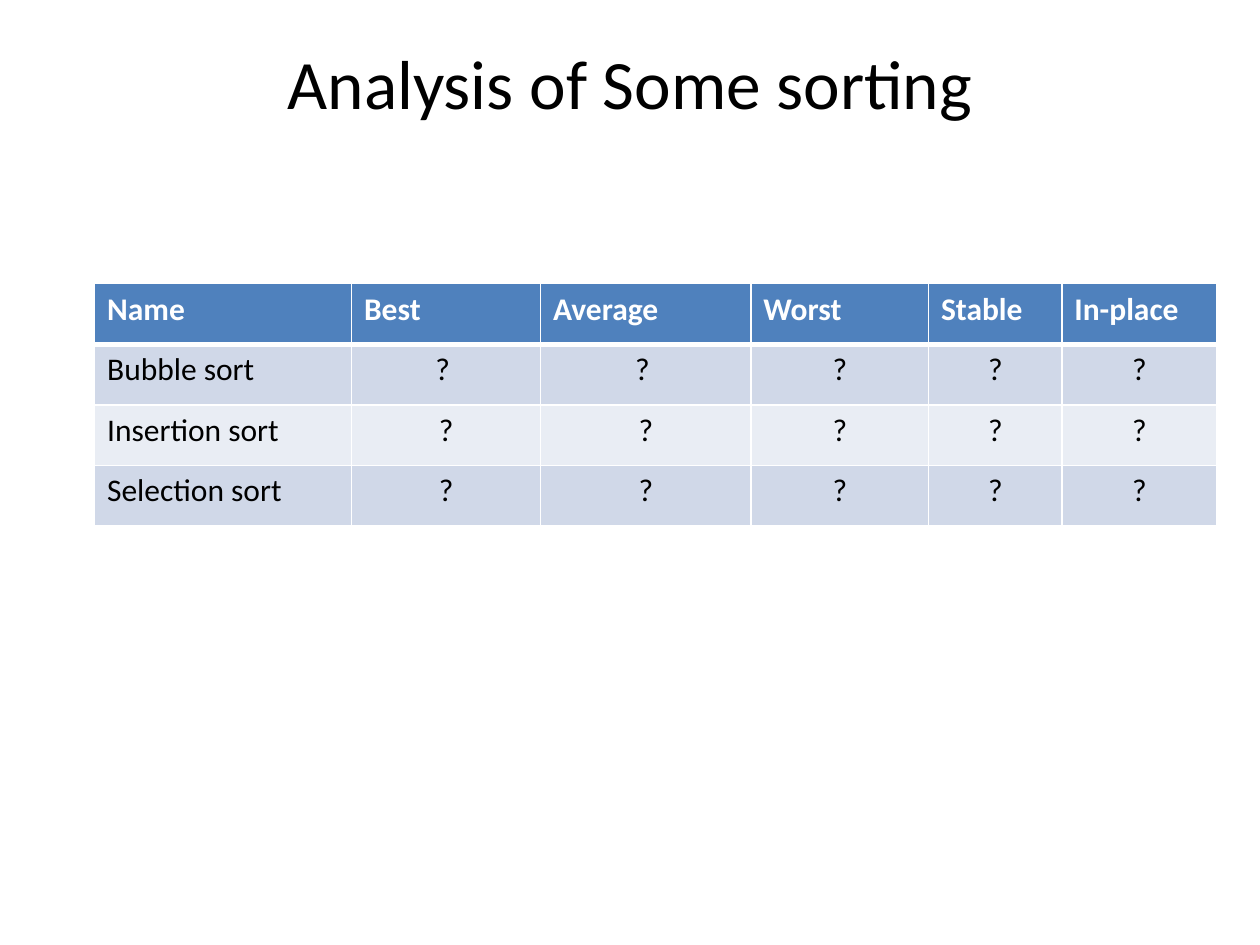
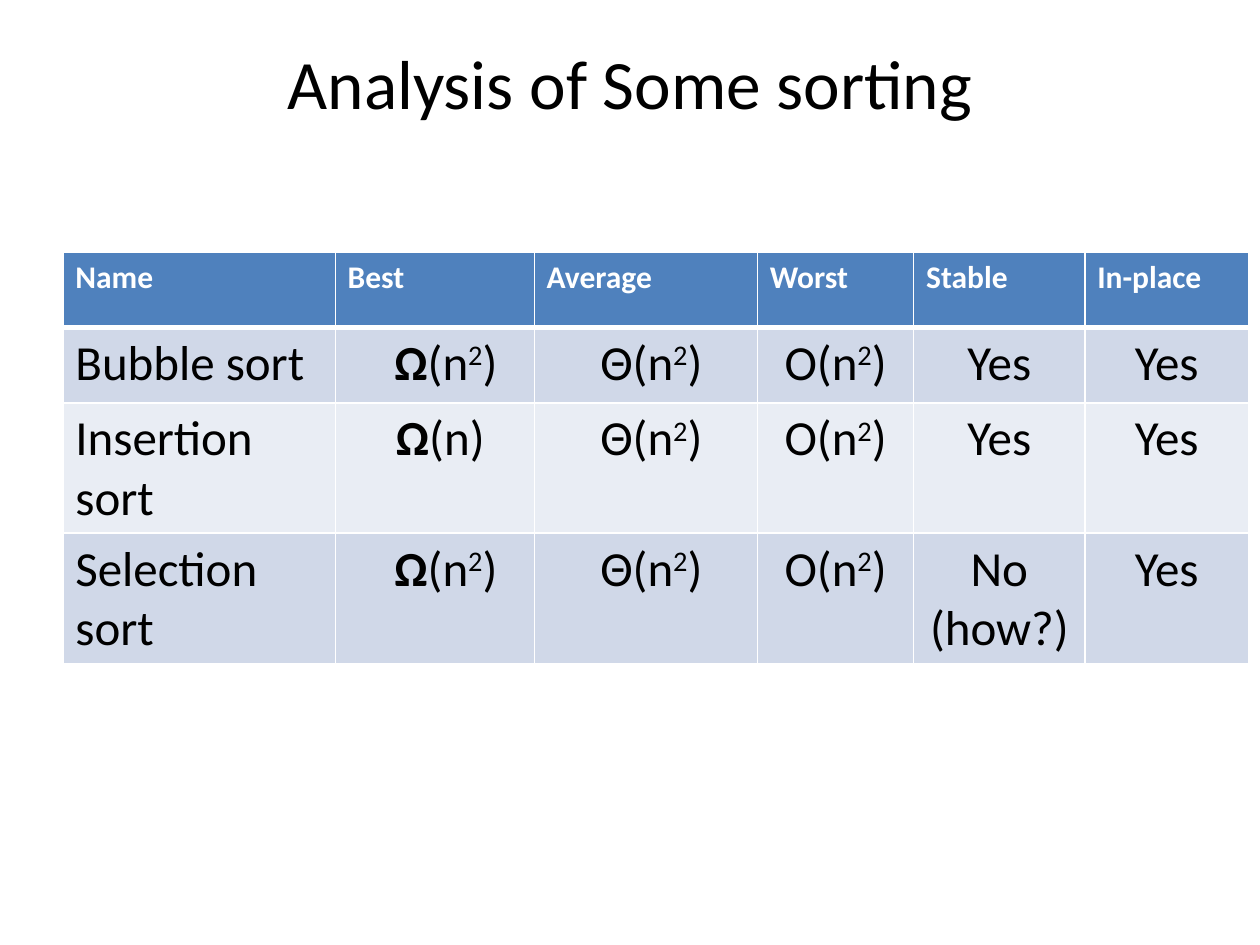
from lxml.etree import SubElement
from pptx import Presentation
from pptx.dml.color import RGBColor
from pptx.enum.text import MSO_ANCHOR, PP_ALIGN
from pptx.oxml.ns import qn
from pptx.util import Cm, Pt

COLORS = {
    "text": "000000",
    "header": "4F81BD",
    "header_text": "FFFFFF",
    "odd_row": "D0D8E8",
    "even_row": "E9EDF4",
    "border": "FFFFFF",
}
FONT = "Calibri"
TITLE = "Analysis of Some sorting"
HEADINGS = ["Name", "Best", "Average", "Worst", "Stable", "In-place"]
ALGORITHMS = ["Bubble sort", "Insertion sort", "Selection sort"]
CELL_MARGIN = 0.25


def bound(symbol, power="", shift=0.0):
    """Return the spans of a growth bound such as O(n²), and its shift in cm."""
    spans = [(symbol, "bold" if symbol == "Ω" else ""), ("(n", "")]
    if power:
        spans.append((power, "superscript"))
    return spans + [(")", "")], shift


def plain(text, shift=0.0):
    return [(text, "")], shift


def add_span(paragraph, text, size, color, style=""):
    span = paragraph.add_run()
    span.text = text
    span.font.name = FONT
    span.font.size = Pt(size)
    span.font.bold = style == "bold"
    span.font.color.rgb = RGBColor.from_string(COLORS[color])
    if style == "superscript":
        span._r.get_or_add_rPr().set("baseline", "30000")


def add_title(page):
    box = page.shapes.add_textbox(Cm(1.27), Cm(0.76), Cm(22.86), Cm(1.78))
    frame = box.text_frame
    frame.word_wrap = True
    frame.vertical_anchor = MSO_ANCHOR.MIDDLE
    frame.margin_top = frame.margin_bottom = 0
    paragraph = frame.paragraphs[0]
    paragraph.alignment = PP_ALIGN.CENTER
    add_span(paragraph, TITLE, 39.6, "text")


def add_borders(cell, top, bottom):
    properties = cell._tc.get_or_add_tcPr()
    for side, width in (("L", 1), ("R", 1), ("T", top), ("B", bottom)):
        line = SubElement(properties, qn(f"a:ln{side}"), w=str(Pt(width)))
        fill = SubElement(line, qn("a:solidFill"))
        SubElement(fill, qn("a:srgbClr"), val=COLORS["border"])


def fill_cell(cell, content, row, size, centred):
    """Write spans into a cell; a positive shift moves centred text right."""
    spans, shift = content
    is_header = row == 0
    add_borders(cell, top=3 if row == 1 else 1, bottom=3 if is_header else 1)
    cell.fill.solid()
    band = "header" if is_header else "odd_row" if row % 2 else "even_row"
    cell.fill.fore_color.rgb = RGBColor.from_string(COLORS[band])
    cell.margin_left = Cm(CELL_MARGIN + max(shift, 0))
    cell.margin_right = Cm(CELL_MARGIN + max(-shift, 0))
    paragraph = cell.text_frame.paragraphs[0]
    paragraph.alignment = PP_ALIGN.CENTER if centred else PP_ALIGN.LEFT
    for text, style in spans:
        if is_header:
            add_span(paragraph, text, size, "header_text", "bold")
        else:
            add_span(paragraph, text, size, "text", style)


def add_sorting_table(page, left, top, widths, heights, body_size, results):
    frame = page.shapes.add_table(len(heights), len(widths), Cm(left), Cm(top),
                                  Cm(sum(widths)), Cm(sum(heights)))
    table = frame.table
    for column, width in zip(table.columns, widths):
        column.width = Cm(width)
    for table_row, height in zip(table.rows, heights):
        table_row.height = Cm(height)
    rows = [[plain(heading) for heading in HEADINGS]]
    rows += [[plain(name)] + result for name, result in zip(ALGORITHMS, results)]
    for row, contents in enumerate(rows):
        for column, content in enumerate(contents):
            fill_cell(table.cell(row, column), content, row,
                      size=body_size if row else 18, centred=row > 0 and column > 0)


def add_page(deck):
    page = deck.slides.add_slide(deck.slide_layouts[6])
    add_title(page)
    return page


def main():
    deck = Presentation()
    deck.slide_width, deck.slide_height = Cm(25.4), Cm(19.05)

    unknown = [plain("?")] * 5
    questions = [[plain("?", -0.14)] * 2 + unknown[2:], unknown, unknown]
    add_sorting_table(add_page(deck), 1.91, 5.72,
                      [5.18, 3.81, 4.24, 3.58, 2.69, 3.12], [1.22] * 4,
                      18, questions)

    quadratic_best = bound("Ω", "2", 0.45)
    linear_best = bound("Ω", shift=0.22)
    usual = [bound("Θ", "2", 0.22), bound("O", "2")]
    yes = plain("Yes")
    answers = [
        [quadratic_best, *usual, yes, yes],
        [linear_best, *usual, yes, yes],
        [quadratic_best, *usual, plain("No (how?)"), yes],
    ]
    add_sorting_table(add_page(deck), 1.27, 5.08,
                      [5.49, 4.01, 4.5, 3.15, 3.45, 3.3], [1.52] * 2 + [2.62] * 2,
                      28, answers)

    deck.save("out.pptx")


if __name__ == "__main__":
    main()
